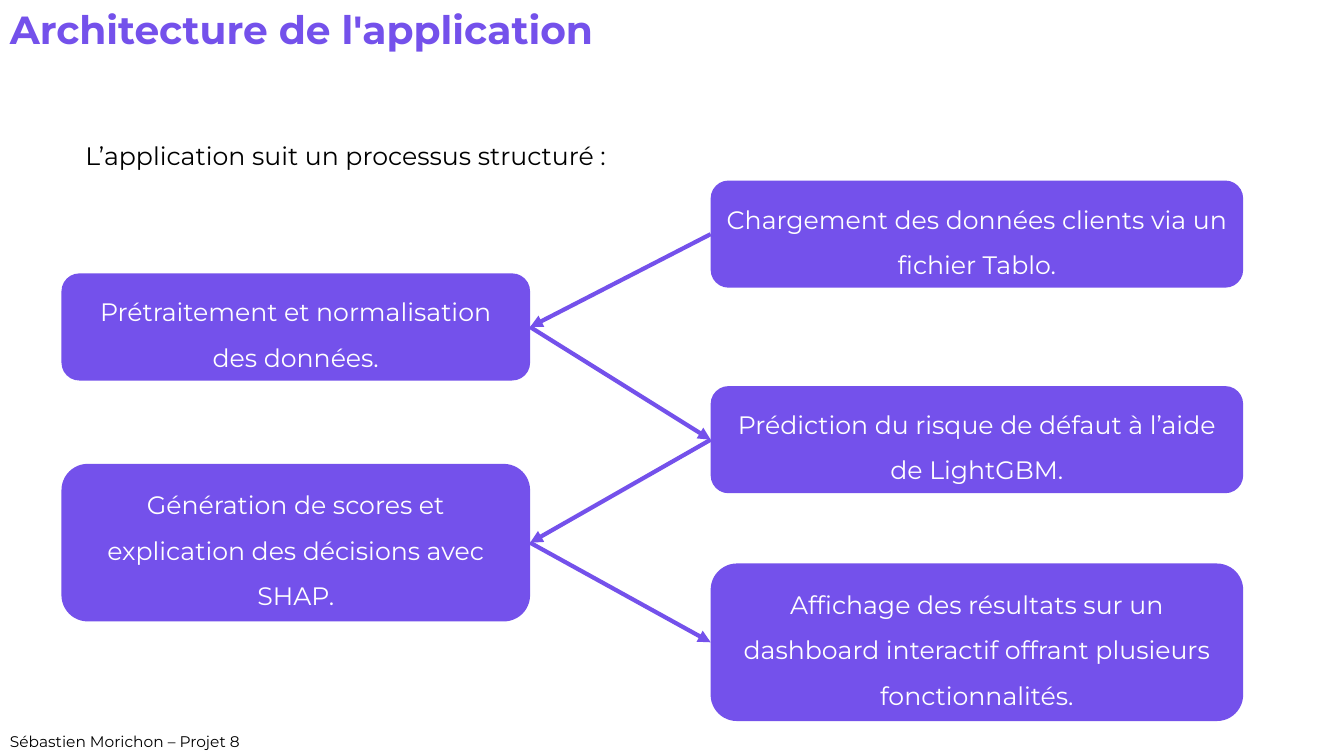
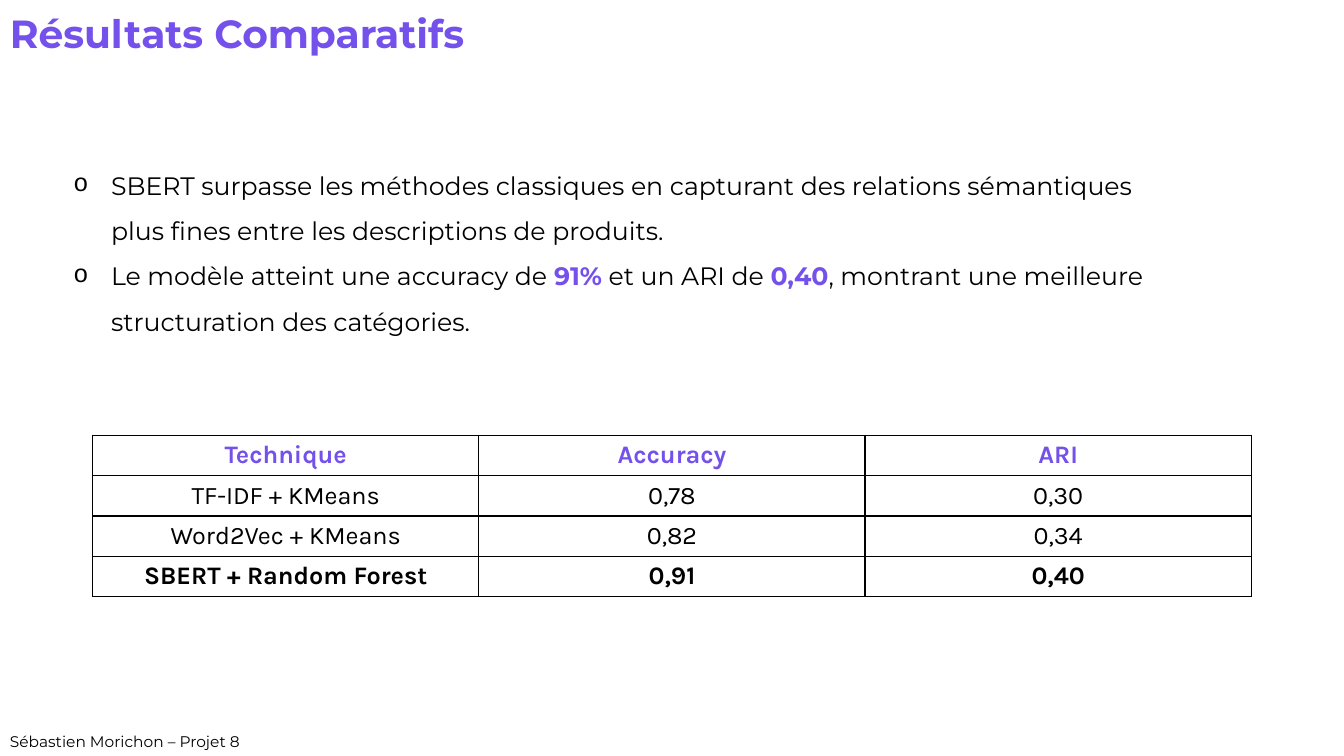
from itertools import pairwise

from lxml.etree import SubElement
from pptx import Presentation
from pptx.dml.color import RGBColor
from pptx.enum.shapes import MSO_CONNECTOR as Connector, MSO_SHAPE as Shape
from pptx.enum.text import MSO_ANCHOR as Anchor, MSO_AUTO_SIZE as AutoSize, PP_ALIGN as Align
from pptx.oxml import parse_xml
from pptx.oxml.ns import nsdecls, qn
from pptx.util import Cm, Pt

VIOLET, BLACK, WHITE = "7451EB", "000000", "FFFFFF"
BODY_FONT, TABLE_FONT = "Montserrat", "Karla"
SLIDE_WIDTH, SLIDE_HEIGHT = 33.87, 19.05
LEFT, RIGHT = 1, 3

STEPS = [
    ("Chargement des données clients via un fichier Tablo.", RIGHT, 4.55, 2.7),
    ("Prétraitement et normalisation des données.", LEFT, 6.89, 2.7),
    ("Prédiction du risque de défaut à l’aide de LightGBM.", RIGHT, 9.73, 2.7),
    ("Génération de scores et explication des décisions avec SHAP.", LEFT, 11.69, 3.97),
    ("Affichage des résultats sur un dashboard interactif offrant plusieurs fonctionnalités.",
     RIGHT, 14.2, 3.97),
]
FINDINGS = [
    ["SBERT surpasse les méthodes classiques en capturant des relations sémantiques "
     "plus fines entre les descriptions de produits."],
    ["Le modèle atteint une accuracy de ", "91%", " et un ARI de ", "0,40",
     ", montrant une meilleure structuration des catégories."],
]
SCORES = [
    ("Technique", "Accuracy", "ARI"),
    ("TF-IDF + KMeans", "0,78", "0,30"),
    ("Word2Vec + KMeans", "0,82", "0,34"),
    ("SBERT + Random Forest", "0,91", "0,40"),
]


def color(value):
    """Turn a hex string into a colour."""
    return RGBColor.from_string(value)


def style(para, size=18, ink=BLACK, bold=False, name=BODY_FONT, align=None, spacing=None):
    """Set the look of a whole paragraph."""
    para.font.size, para.font.name, para.font.bold = Pt(size), name, bold
    para.font.color.rgb = color(ink)
    para.alignment = align
    para.line_spacing = spacing


def add_text(page, box, text, wrap=True, **look):
    """Place a one-paragraph text box."""
    frame = page.shapes.add_textbox(*map(Cm, box)).text_frame
    frame.word_wrap, frame.auto_size = wrap, AutoSize.SHAPE_TO_FIT_TEXT
    frame.text = text
    style(frame.paragraphs[0], **look)


def add_page(deck, title, title_top=0):
    """Add a blank page with the shared title and footer."""
    page = deck.slides.add_slide(deck.slide_layouts[6])
    add_text(page, (0, title_top, 16.93, 1.45), title, size=28, ink=VIOLET, bold=True)
    add_text(page, (0, SLIDE_HEIGHT - 0.73, 6.35, 0.73), "Sébastien Morichon – Projet 8",
             wrap=False, size=11)
    return page


def add_step(page, box, text):
    """Draw one rounded step of the process."""
    step = page.shapes.add_shape(Shape.ROUNDED_RECTANGLE, *map(Cm, box))
    step.shadow.inherit = False
    step.fill.solid()
    step.fill.fore_color.rgb = color(VIOLET)
    step.line.fill.background()
    frame = step.text_frame
    frame.word_wrap, frame.auto_size = True, AutoSize.SHAPE_TO_FIT_TEXT
    frame.vertical_anchor = Anchor.MIDDLE
    frame.text = text
    style(frame.paragraphs[0], ink=WHITE, align=Align.CENTER, spacing=1.5)
    return step


def add_arrow(page, start, start_side, end, end_side):
    """Join two steps with an arrow."""
    arrow = page.shapes.add_connector(Connector.STRAIGHT, 0, 0, 0, 0)
    arrow.begin_connect(start, start_side)
    arrow.end_connect(end, end_side)
    arrow.line.width = Pt(3)
    arrow.line.color.rgb = color(VIOLET)
    SubElement(arrow.line._get_or_add_ln(), qn("a:tailEnd"), type="triangle")
    SubElement(arrow._element.spPr, qn("a:effectLst"))


def add_process(page, box):
    """Draw the zigzag of steps in two columns of the box."""
    left, top, width = box
    left_width, right_width = 11.81, 13.42
    columns = {LEFT: (left, left_width), RIGHT: (left + width - right_width, right_width)}
    inner_side = {LEFT: RIGHT, RIGHT: LEFT}
    placed = []
    for text, column, step_top, height in STEPS:
        step_left, step_width = columns[column]
        offset = step_top - STEPS[0][2]
        step = add_step(page, (step_left, top + offset, step_width, height), text)
        placed.append((step, inner_side[column]))
    for start, end in pairwise(placed):
        add_arrow(page, *start, *end)


def add_findings(page, box):
    """Write the bulleted findings, with their figures in violet."""
    frame = page.shapes.add_textbox(*map(Cm, box)).text_frame
    frame.word_wrap, frame.vertical_anchor = True, Anchor.MIDDLE
    for index, pieces in enumerate(FINDINGS):
        para = frame.add_paragraph() if index else frame.paragraphs[0]
        properties = para._p.get_or_add_pPr()
        properties.set("marL", str(Cm(0.95)))
        properties.set("indent", str(Cm(-0.95)))
        SubElement(properties, qn("a:buFont"), typeface="Courier New")
        SubElement(properties, qn("a:buChar"), char="o")
        style(para, spacing=1.5)
        for position, piece in enumerate(pieces):
            span = para.add_run()
            span.text = piece
            if position % 2:
                span.font.bold = True
                span.font.color.rgb = color(VIOLET)


def add_borders(cell):
    """Give a cell thin black borders on all sides."""
    properties = cell._tc.get_or_add_tcPr()
    for position, side in enumerate(("lnL", "lnR", "lnT", "lnB")):
        properties.insert(position, parse_xml(
            f'<a:{side} {nsdecls("a")} w="{Pt(1)}"><a:solidFill>'
            f'<a:srgbClr val="{BLACK}"/></a:solidFill></a:{side}>'))


def add_scores(page, box):
    """Draw the table of scores, with its first and last rows in bold."""
    last = len(SCORES) - 1
    table = page.shapes.add_table(len(SCORES), len(SCORES[0]), *map(Cm, box)).table
    table.first_row = table.horz_banding = False
    for row, values in enumerate(SCORES):
        for column, value in enumerate(values):
            cell = table.cell(row, column)
            cell.text = value
            cell.vertical_anchor = Anchor.MIDDLE
            cell.fill.background()
            add_borders(cell)
            style(cell.text_frame.paragraphs[0], ink=BLACK if row else VIOLET,
                  bold=row in (0, last), name=TABLE_FONT, align=Align.CENTER)


def build_architecture(deck):
    """Build the page on the application's process."""
    page = add_page(deck, "Architecture de l'application")
    add_text(page, (1.9, 3.02, 21.56, 1.27), "L’application suit un processus structuré :",
             spacing=1.5)
    add_process(page, (1.55, 4.55, 29.78))


def build_results(deck):
    """Build the page that compares the techniques."""
    page = add_page(deck, "Résultats Comparatifs", title_top=0.1)
    add_findings(page, (1.6, 3.81, 28.45, 4.75))
    table_width = 29.2
    add_scores(page, ((SLIDE_WIDTH - table_width) / 2, 10.97, table_width, 4))


def main():
    """Build and save the deck."""
    deck = Presentation()
    deck.slide_width, deck.slide_height = Cm(SLIDE_WIDTH), Cm(SLIDE_HEIGHT)
    build_architecture(deck)
    build_results(deck)
    deck.save("out.pptx")


if __name__ == "__main__":
    main()
